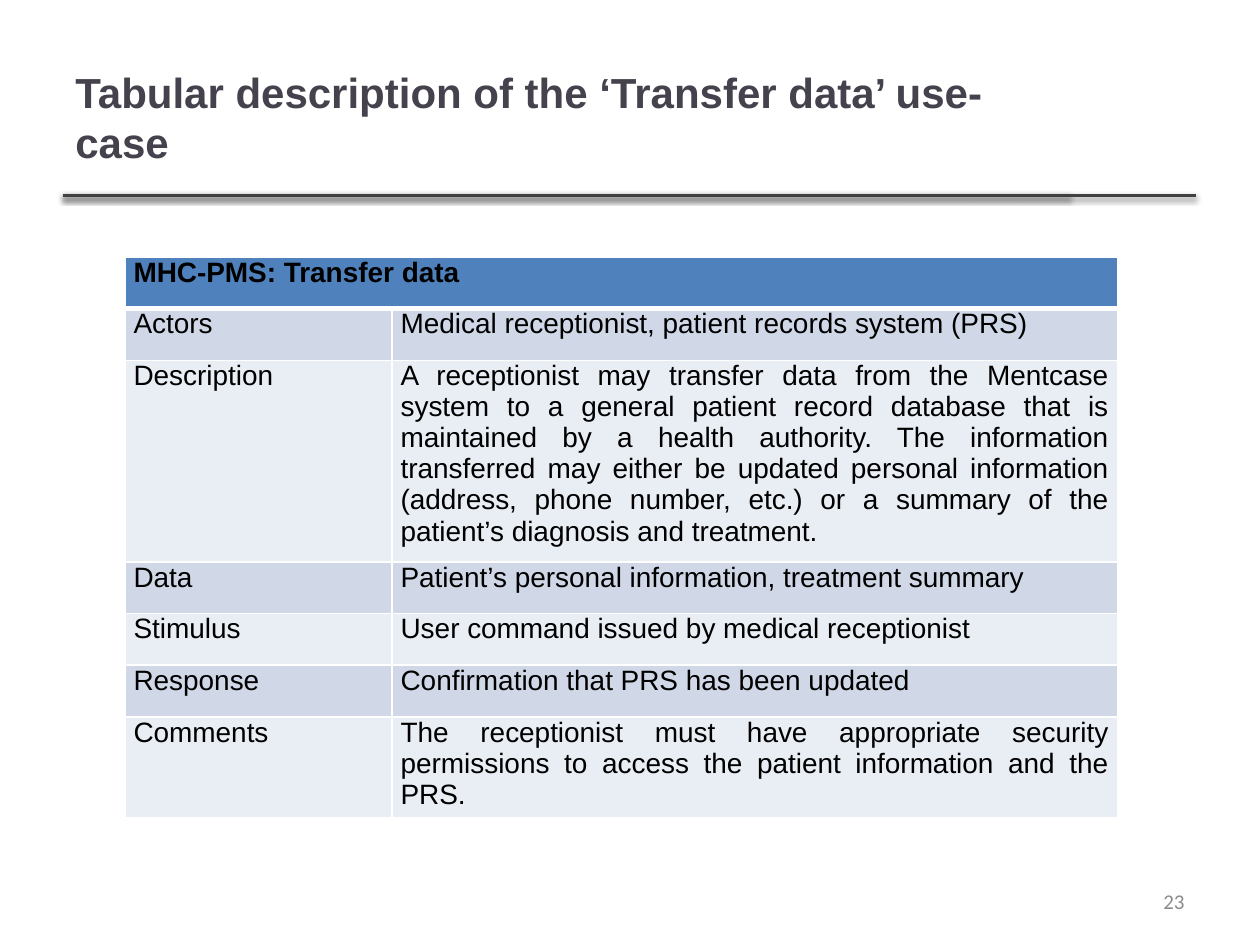
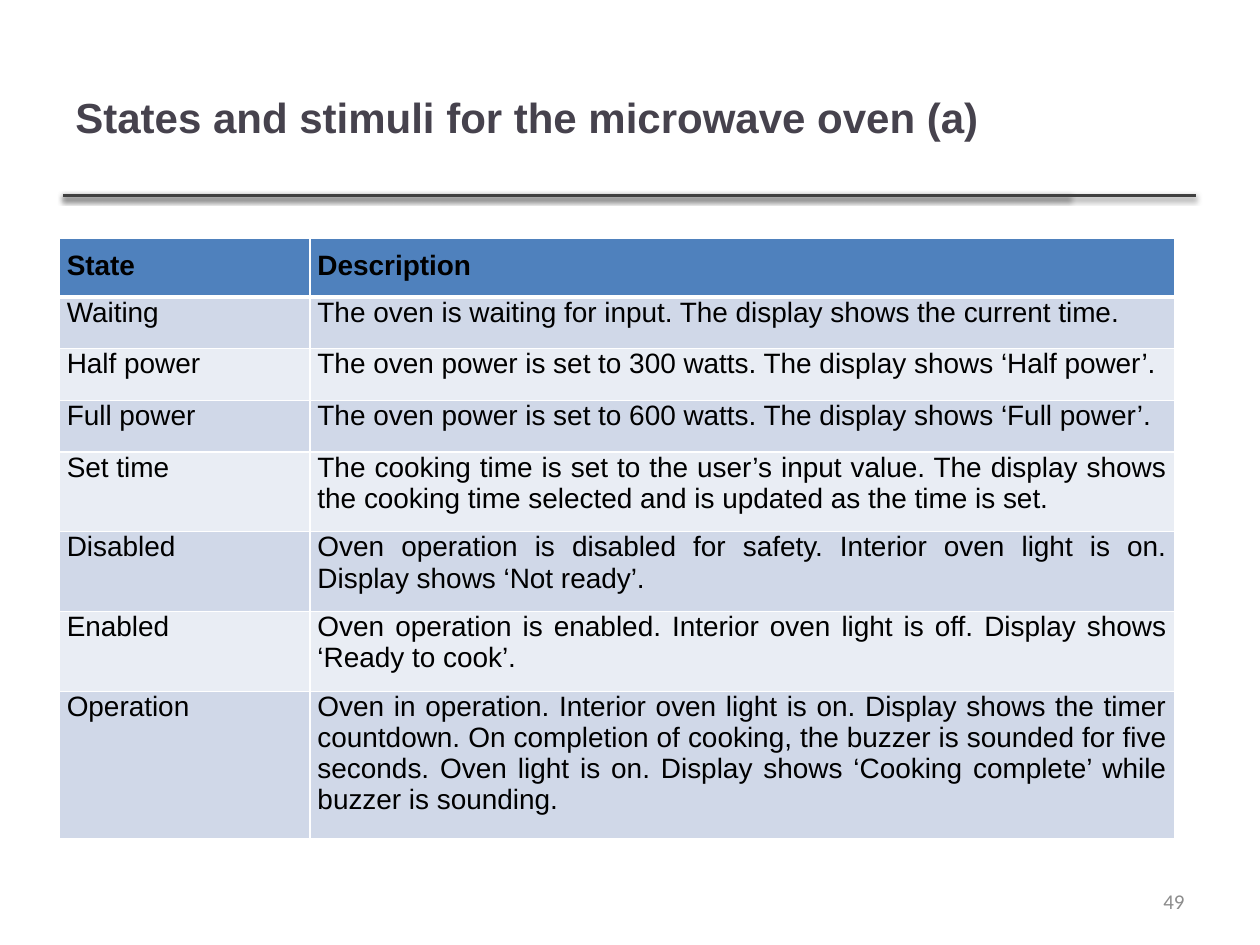
from dataclasses import dataclass

import lxml.etree
import pptx
import pptx.dml.color
import pptx.enum.shapes
import pptx.enum.text
import pptx.oxml.ns
import pptx.presentation
import pptx.shapes.connector
import pptx.slide
import pptx.table
import pptx.text.text
import pptx.util

Inches = pptx.util.Inches
Pt = pptx.util.Pt
Align = pptx.enum.text.PP_ALIGN
Anchor = pptx.enum.text.MSO_ANCHOR
qn = pptx.oxml.ns.qn

# Shared look
WHITE, BLACK = "FFFFFF", "000000"
INK, RULE, GREY = "46424D", "404040", "8C8C8C"
HEAD, BANDS = "4F81BD", ("D0D8E8", "E9EDF4")
ROW = 0.41
RULE_ENDS = (8.49, 9.49)


@dataclass(frozen=True)
class Font:
    name: str
    size: float
    color: str
    bold: bool = False


TITLE = Font("Arial", 24, INK, True)
NUMBER = Font("Calibri", 12, GREY)
HEADING = Font("Arial", 16, BLACK, True)
BODY = Font("Arial", 16, BLACK)


@dataclass(frozen=True)
class Grid:
    left: float
    top: float
    widths: tuple[float, float]
    side: float      # left and right cell margin
    head_top: float  # top margin of the heading row
    foot: float      # bottom margin of every cell
    rows: list[tuple[str, ...]]


@dataclass(frozen=True)
class Page:
    title: str
    number: str
    grid: Grid


PAGES = [
    Page("Tabular description of the ‘Transfer data’ use-case", "23", Grid(
        0.99, 2.04, (2.12, 5.76), 0.07, 0, 0, [
            ("MHC-PMS: Transfer data",),
            ("Actors", "Medical receptionist, patient records system (PRS)"),
            ("Description",
             "A receptionist may transfer data from the Mentcase system to a "
             "general patient record database that is maintained by a health "
             "authority. The information transferred may either be updated "
             "personal information (address, phone number, etc.) or a summary "
             "of the patient’s diagnosis and treatment."),
            ("Data", "Patient’s personal information, treatment summary"),
            ("Stimulus", "User command issued by medical receptionist"),
            ("Response", "Confirmation that PRS has been updated"),
            ("Comments",
             "The receptionist must have appropriate security permissions to "
             "access the patient information and the PRS."),
        ])),
    Page("States and stimuli for the microwave oven (a)", "49", Grid(
        0.47, 1.89, (1.99, 6.86), 0.06, 0.1, 0.1, [
            ("State", "Description"),
            ("Waiting", "The oven is waiting for input. The display shows the "
             "current time."),
            ("Half power", "The oven power is set to 300 watts. The display "
             "shows ‘Half power’."),
            ("Full power", "The oven power is set to 600 watts. The display "
             "shows ‘Full power’."),
            ("Set time", "The cooking time is set to the user’s input value. "
             "The display shows the cooking time selected and is updated as "
             "the time is set."),
            ("Disabled", "Oven operation is disabled for safety. Interior "
             "oven light is on. Display shows ‘Not ready’."),
            ("Enabled", "Oven operation is enabled. Interior oven light is "
             "off. Display shows ‘Ready to cook’."),
            ("Operation", "Oven in operation. Interior oven light is on. "
             "Display shows the timer countdown. On completion of cooking, "
             "the buzzer is sounded for five seconds. Oven light is on. "
             "Display shows ‘Cooking complete’ while buzzer is sounding."),
        ])),
]


def rgb(code: str) -> pptx.dml.color.RGBColor:
    return pptx.dml.color.RGBColor.from_string(code)


def write(frame: pptx.text.text.TextFrame, text: str, font: Font,
          align: Align) -> None:
    para = frame.paragraphs[0]
    para.alignment = align
    run = para.add_run()
    run.text = text
    run.font.name = font.name
    run.font.size = Pt(font.size)
    run.font.bold = font.bold
    run.font.color.rgb = rgb(font.color)


def add_text(slide: pptx.slide.Slide, box: tuple[float, ...], text: str,
             font: Font, align: Align) -> None:
    frame = slide.shapes.add_textbox(*map(Inches, box)).text_frame
    frame.word_wrap = True
    frame.vertical_anchor = Anchor.MIDDLE
    write(frame, text, font, align)


def add_color(parent: lxml.etree._Element, code: str) -> lxml.etree._Element:
    return lxml.etree.SubElement(parent, qn("a:srgbClr"), val=code)


def add_shadow(line: pptx.shapes.connector.Connector) -> None:
    props = line._element.spPr
    effects = lxml.etree.SubElement(props, qn("a:effectLst"))
    shade = lxml.etree.SubElement(
        effects, qn("a:outerShdw"), blurRad=str(Pt(3.1)), dist=str(Pt(1.6)),
        dir="5400000", rotWithShape="0")
    lxml.etree.SubElement(add_color(shade, BLACK), qn("a:alpha"), val="38000")


def add_rule(slide: pptx.slide.Slide, end: float) -> None:
    line = slide.shapes.add_connector(
        pptx.enum.shapes.MSO_CONNECTOR.STRAIGHT,
        Inches(0.5), Inches(1.55), Inches(end), Inches(1.55))
    line.line.color.rgb = rgb(RULE)
    line.line.width = Pt(2)
    add_shadow(line)


def set_edges(cell: pptx.table._Cell, row: int) -> None:
    """Draw white edges, thick between the heading and the first row."""
    props = cell._tc.get_or_add_tcPr()
    widths = {"L": 1, "R": 1, "T": 3 if row == 1 else 1,
              "B": 3 if row == 0 else 1}
    for place, (side, width) in enumerate(widths.items()):
        edge = lxml.etree.Element(qn(f"a:ln{side}"), w=str(Pt(width)))
        add_color(lxml.etree.SubElement(edge, qn("a:solidFill")), WHITE)
        props.insert(place, edge)


def add_grid(slide: pptx.slide.Slide, grid: Grid) -> None:
    count = len(grid.rows)
    table = slide.shapes.add_table(
        count, len(grid.widths), Inches(grid.left), Inches(grid.top),
        Inches(sum(grid.widths)), Inches(ROW * count)).table
    for column, width in zip(table.columns, grid.widths):
        column.width = Inches(width)
    for r, texts in enumerate(grid.rows):
        table.rows[r].height = Inches(ROW)
        if len(texts) == 1:
            table.cell(r, 0).merge(table.cell(r, len(grid.widths) - 1))
        for c in range(len(grid.widths)):
            cell = table.cell(r, c)
            cell.margin_left = cell.margin_right = Inches(grid.side)
            cell.margin_top = Inches(0 if r else grid.head_top)
            cell.margin_bottom = Inches(grid.foot)
            cell.fill.solid()
            cell.fill.fore_color.rgb = rgb(BANDS[(r - 1) % 2] if r else HEAD)
            set_edges(cell, r)
            if c < len(texts):
                write(cell.text_frame, texts[c], BODY if r else HEADING,
                      Align.JUSTIFY)


def add_page(deck: pptx.presentation.Presentation, page: Page) -> None:
    slide = deck.slides.add_slide(deck.slide_layouts[6])
    # Rules under the title
    for end in RULE_ENDS:
        add_rule(slide, end)
    # Title, slide number and table
    add_text(slide, (0.5, 0.3, 7.98, 1.25), page.title, TITLE, Align.LEFT)
    add_text(slide, (7.17, 6.95, 2.33, 0.4), page.number, NUMBER, Align.RIGHT)
    add_grid(slide, page.grid)


def main() -> None:
    deck = pptx.Presentation()
    deck.slide_width, deck.slide_height = Inches(10), Inches(7.5)
    for page in PAGES:
        add_page(deck, page)
    deck.save("out.pptx")


if __name__ == "__main__":
    main()
